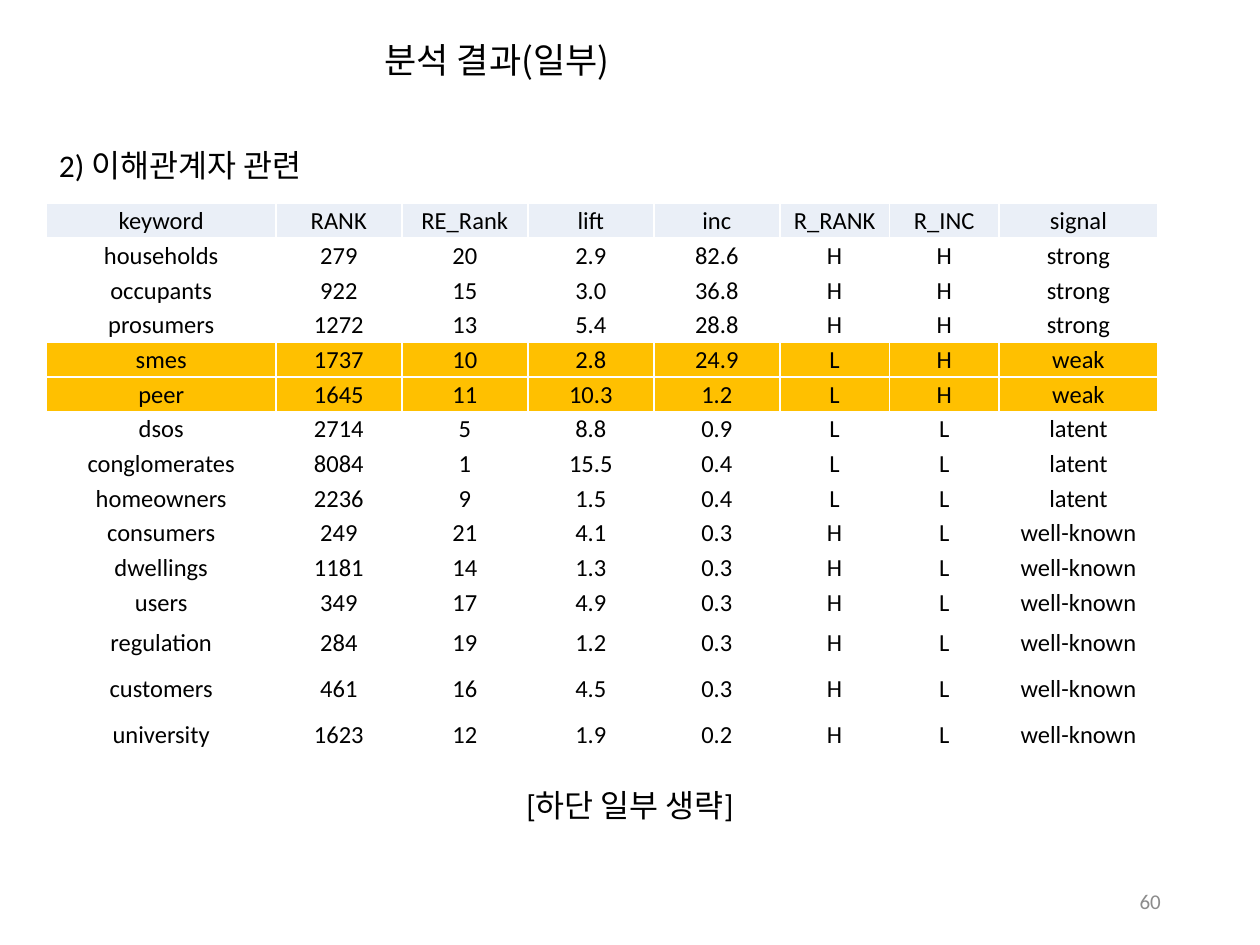
from dataclasses import dataclass

from lxml.etree import SubElement
from pptx import Presentation
from pptx.dml.color import RGBColor
from pptx.enum.text import MSO_ANCHOR, PP_ALIGN
from pptx.oxml.ns import qn
from pptx.util import Cm, Pt


@dataclass(frozen=True)
class Theme:
    """Fonts, colours and type sizes of the slide."""
    latin: str = "Calibri"
    korean: str = "Noto Sans CJK KR"
    ink: str = "000000"
    muted: str = "8C8C8C"
    rule: str = "FFFFFF"
    header: str = "EAEFF7"
    highlight: str = "FFC000"
    title: int = 20
    body: int = 18
    cell: int = 14
    number: int = 12


HEADINGS = ["keyword", "RANK", "RE_Rank", "lift", "inc", "R_RANK", "R_INC", "signal"]
KEYWORDS = [
    ["households", "279", "20", "2.9", "82.6", "H", "H", "strong"],
    ["occupants", "922", "15", "3.0", "36.8", "H", "H", "strong"],
    ["prosumers", "1272", "13", "5.4", "28.8", "H", "H", "strong"],
    ["smes", "1737", "10", "2.8", "24.9", "L", "H", "weak"],
    ["peer", "1645", "11", "10.3", "1.2", "L", "H", "weak"],
    ["dsos", "2714", "5", "8.8", "0.9", "L", "L", "latent"],
    ["conglomerates", "8084", "1", "15.5", "0.4", "L", "L", "latent"],
    ["homeowners", "2236", "9", "1.5", "0.4", "L", "L", "latent"],
    ["consumers", "249", "21", "4.1", "0.3", "H", "L", "well-known"],
    ["dwellings", "1181", "14", "1.3", "0.3", "H", "L", "well-known"],
    ["users", "349", "17", "4.9", "0.3", "H", "L", "well-known"],
    ["regulation", "284", "19", "1.2", "0.3", "H", "L", "well-known"],
    ["customers", "461", "16", "4.5", "0.3", "H", "L", "well-known"],
    ["university", "1623", "12", "1.9", "0.2", "H", "L", "well-known"],
]
COLUMN_WIDTHS = [4.62] + [2.54] * 4 + [2.21] * 2 + [3.2]
ROW_HEIGHTS = [0.7] * 12 + [0.93] * 3


class SlideBuilder:
    """Adds styled elements to the current slide."""

    def __init__(self, s, theme):
        self.s = s
        self.theme = theme

    def paragraph(self, tf, text, size, color=None, align=PP_ALIGN.LEFT, font=None):
        """Put one formatted paragraph into a text frame."""
        p = tf.paragraphs[0]
        p.text = text
        p.alignment = align
        p.font.size = Pt(size)
        p.font.name = font or self.theme.latin
        p.font.color.rgb = RGBColor.from_string(color or self.theme.ink)
        def_rpr = p._p.pPr.find(qn("a:defRPr"))
        SubElement(def_rpr, qn("a:ea"), typeface=self.theme.korean)

    def title(self, text, left, top, width, height):
        """Fill and place the title placeholder."""
        sp = self.s.shapes.title
        sp.left, sp.top, sp.width, sp.height = map(Cm, (left, top, width, height))
        sp.text_frame.vertical_anchor = MSO_ANCHOR.MIDDLE
        self.paragraph(sp.text_frame, text, self.theme.title, font=self.theme.korean)

    def text(self, text, left, top, width, height, size, color=None,
             align=PP_ALIGN.LEFT, anchor=MSO_ANCHOR.TOP):
        """Add a wrapping text box."""
        tf = self.s.shapes.add_textbox(*map(Cm, (left, top, width, height))).text_frame
        tf.word_wrap = True
        tf.vertical_anchor = anchor
        self.paragraph(tf, text, size, color, align)

    def cell(self, cell, text, fill):
        """Letter, border and fill one table cell."""
        cell.margin_left = cell.margin_right = cell.margin_top = Cm(0.03)
        cell.margin_bottom = 0
        cell.vertical_anchor = MSO_ANCHOR.MIDDLE
        self.paragraph(cell.text_frame, text, self.theme.cell, align=PP_ALIGN.CENTER)
        tc_pr = cell._tc.get_or_add_tcPr()
        for side in ("lnL", "lnR", "lnT", "lnB"):
            ln = SubElement(tc_pr, qn(f"a:{side}"), w=str(Pt(1)))
            solid = SubElement(ln, qn("a:solidFill"))
            SubElement(solid, qn("a:srgbClr"), val=self.theme.rule)
        if fill:
            cell.fill.solid()
            cell.fill.fore_color.rgb = RGBColor.from_string(fill)
        else:
            cell.fill.background()

    def table(self, rows, left, top, widths, heights):
        """Add the table, tinting its heading and the weak signals."""
        frame = self.s.shapes.add_table(len(rows), len(widths), Cm(left), Cm(top),
                                        Cm(sum(widths)), Cm(sum(heights)))
        table = frame.table
        table.first_row = table.horz_banding = False
        for column, width in zip(table.columns, widths):
            column.width = Cm(width)
        fills = {"signal": self.theme.header, "weak": self.theme.highlight}
        for row, height, values in zip(table.rows, heights, rows):
            row.height = Cm(height)
            for cell, value in zip(row.cells, values):
                self.cell(cell, value, fills.get(values[-1]))


def main():
    """Build the slide and save it."""
    prs = Presentation()
    prs.slide_width, prs.slide_height = Cm(25.4), Cm(19.05)
    theme = Theme()
    b = SlideBuilder(prs.slides.add_slide(prs.slide_layouts[5]), theme)
    b.title("분석 결과(일부)", 7.5, 0.64, 17.4, 1.1)
    b.text("2) 이해관계자 관련", 0.94, 2.82, 8.56, 1.03, theme.body)
    b.table([HEADINGS] + KEYWORDS, 0.94, 4.1, COLUMN_WIDTHS, ROW_HEIGHTS)
    b.text("[하단 일부 생략]", 7.5, 15.72, 10.4, 1.03, theme.body, align=PP_ALIGN.CENTER)
    b.text("60", 17.93, 17.65, 5.72, 1.02, theme.number, theme.muted,
           PP_ALIGN.RIGHT, MSO_ANCHOR.MIDDLE)
    prs.save("out.pptx")


if __name__ == "__main__":
    main()
